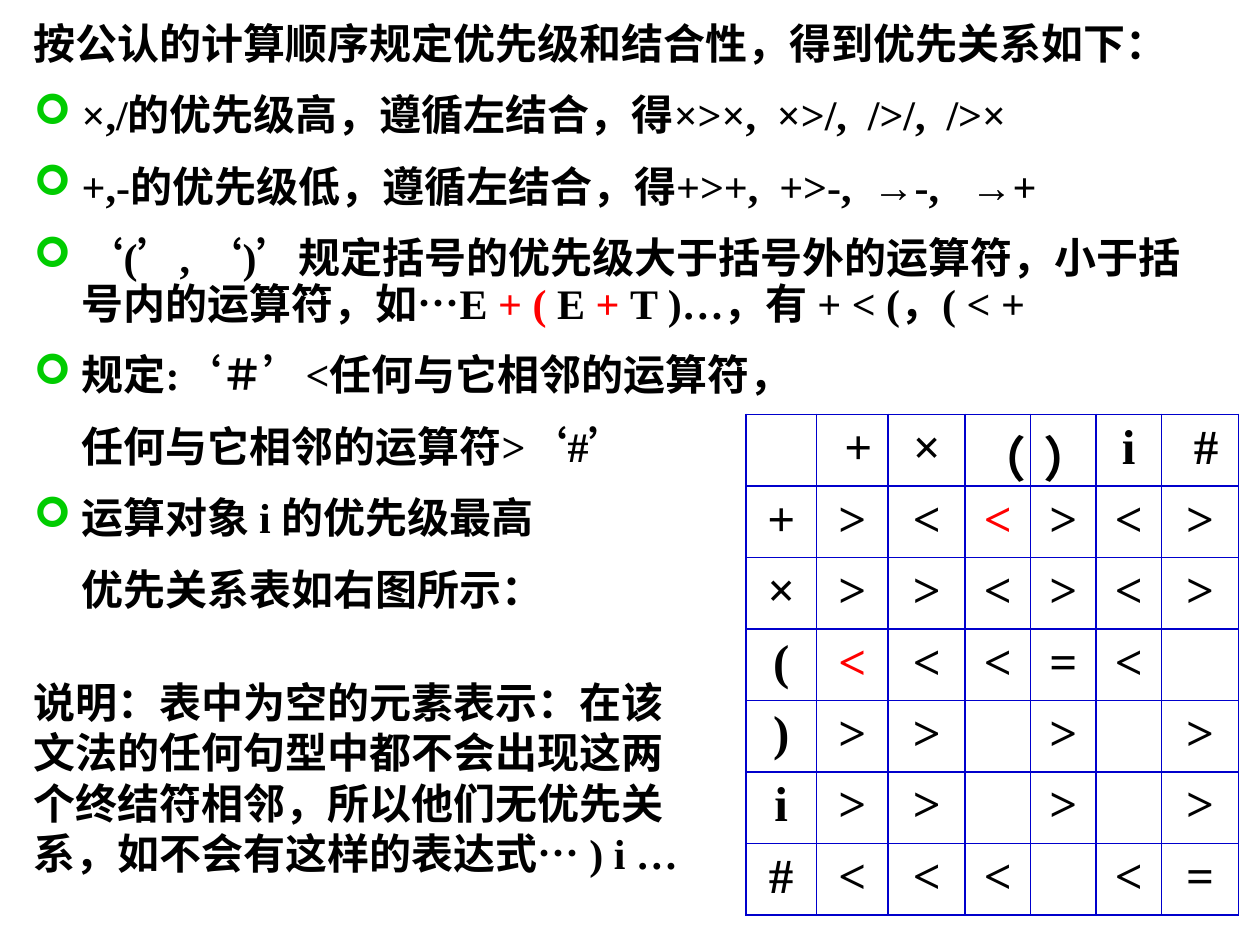
from lxml import etree
from pptx import Presentation
from pptx.dml.color import RGBColor
from pptx.enum import text
from pptx.oxml.ns import qn
from pptx.util import Inches, Pt

BLACK = RGBColor(0x00, 0x00, 0x00)
RED = RGBColor(0xFF, 0x00, 0x00)
GREEN = RGBColor(0x00, 0xCC, 0x00)
BLUE = RGBColor(0x00, 0x00, 0xCC)
SERIF, CJK = "Times New Roman", "Noto Sans CJK SC"
HANG = Inches(0.38)

# Each rule: (has a bullet, runs as text and colour)
RULES = [
    (True, [("×,/的优先级高，遵循左结合，得×>×,  ×>/,  />/,  />×", BLACK)]),
    (True, [("+,-的优先级低，遵循左结合，得+>+,  +>-,  →-,   →+", BLACK)]),
    (True, [("‘(’, ‘)’规定括号的优先级大于括号外的运算符，小于括号内的运算符，如…E ", BLACK),
            ("+ ( ", RED), ("E ", BLACK), ("+ ", RED),
            ("T )…，有 + < (，( < +", BLACK)]),
    (True, [("规定:‘＃’<任何与它相邻的运算符，", BLACK)]),
    (False, [("\t任何与它相邻的运算符>‘#’", BLACK)]),
    (True, [("运算对象 i 的优先级最高", BLACK)]),
    (False, [("\t优先关系表如右图所示：", BLACK)]),
]

PRECEDENCE = [
    ["", " +", "×", "（", "）", "i", " #"],
    ["+", ">", "<", "<", ">", "<", ">"],
    ["×", ">", ">", "<", ">", "<", ">"],
    ["(", "<", "<", "<", "=", "<", ""],
    [")", ">", ">", "", ">", "", ">"],
    ["i", ">", ">", "", ">", "", ">"],
    ["#", "<", "<", "<", "", "<", "="],
]
RED_CELLS = {(1, 3), (3, 1)}
COLUMN_WIDTHS = [0.56, 0.57, 0.61, 0.52, 0.52, 0.52, 0.61]


def add_run(p, words, size=24, font=SERIF, color=BLACK):
    r = p.add_run()
    r.text = words
    r.font.size, r.font.bold, r.font.name = Pt(size), True, font
    r.font.color.rgb = color
    rPr = r.font._element
    rPr.set("lang", "zh-CN")
    etree.SubElement(rPr, qn("a:ea")).set("typeface", CJK)


def hang(p, bullet=False):
    """Hanging indent, with a green arrow bullet if asked for."""
    pPr = p._p.get_or_add_pPr()
    pPr.set("marL", str(HANG))
    pPr.set("indent", str(-HANG))
    if bullet:
        clr = etree.SubElement(pPr, qn("a:buClr"))
        etree.SubElement(clr, qn("a:srgbClr")).set("val", str(GREEN))
        etree.SubElement(pPr, qn("a:buFont")).set("typeface", "Wingdings")
        etree.SubElement(pPr, qn("a:buChar")).set("char", "➢")
    else:
        etree.SubElement(pPr, qn("a:buNone"))


def add_text_box(s, box):
    tf = s.shapes.add_textbox(*map(Inches, box)).text_frame
    tf.word_wrap = True
    return tf


def add_rules(s, box):
    tf = add_text_box(s, box)
    # Opening line
    p = tf.paragraphs[0]
    p.alignment = text.PP_ALIGN.JUSTIFY
    p.line_spacing, p.space_before = 0.8, Pt(6)
    hang(p)
    add_run(p, "按公认的计算顺序规定优先级和结合性，得到优先关系如下： ", font=CJK)
    # Rules
    for bullet, runs in RULES:
        p = tf.add_paragraph()
        p.line_spacing, p.space_before = 0.9, Pt(15)
        hang(p, bullet)
        for words, color in runs:
            add_run(p, words, color=color)


def border_cell(cell):
    tcPr = cell._tc.get_or_add_tcPr()
    for i, side in enumerate(("a:lnL", "a:lnR", "a:lnT", "a:lnB")):
        ln = etree.Element(qn(side), w=str(Pt(1.08)))
        fill = etree.SubElement(ln, qn("a:solidFill"))
        etree.SubElement(fill, qn("a:srgbClr")).set("val", str(BLUE))
        tcPr.insert(i, ln)


def add_precedence_table(s, box):
    size = len(PRECEDENCE)
    table = s.shapes.add_table(size, size, *map(Inches, box)).table
    table.first_row = table.horz_banding = False
    for column, width in zip(table.columns, COLUMN_WIDTHS):
        column.width = Inches(width)
    for i, symbols in enumerate(PRECEDENCE):
        table.rows[i].height = Inches(box[3] / size)
        for j, symbol in enumerate(symbols):
            cell = table.cell(i, j)
            cell.fill.background()
            border_cell(cell)
            if symbol:
                p = cell.text_frame.paragraphs[0]
                p.alignment, p.space_before = text.PP_ALIGN.CENTER, Pt(7)
                add_run(p, symbol, size=28,
                        color=RED if (i, j) in RED_CELLS else BLACK)


def add_note(s, box):
    tf = add_text_box(s, box)
    tf.auto_size = text.MSO_AUTO_SIZE.SHAPE_TO_FIT_TEXT
    p = tf.paragraphs[0]
    p.space_before = Pt(15)
    add_run(p, "说明：表中为空的元素表示：在该文法的任何句型中都不会出现这两个终结符相邻，"
               "所以他们无优先关系，如不会有这样的表达式… ) i …")


def main():
    prs = Presentation()
    prs.slide_width, prs.slide_height = Inches(10), Inches(7.5)
    s = prs.slides.add_slide(prs.slide_layouts[6])
    add_rules(s, (0.17, 0.17, 9.58, 5.08))
    add_precedence_table(s, (5.92, 3.29, 3.92, 3.97))
    add_note(s, (0.17, 5.32, 5.42, 1.7))
    prs.save("out.pptx")


if __name__ == "__main__":
    main()
